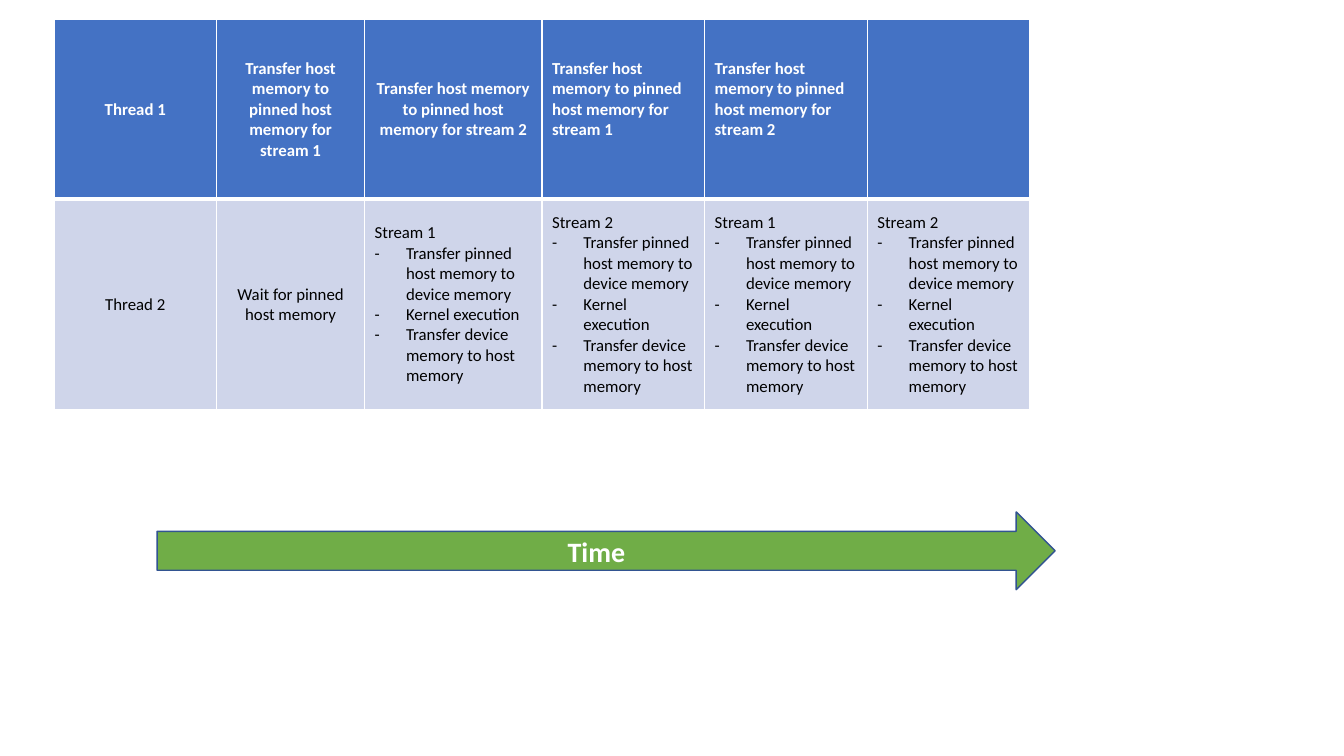
"""Build a slide showing two threads feeding two streams along a time arrow."""
from lxml import etree
from pptx import Presentation
from pptx import util as u
from pptx.dml.color import RGBColor
from pptx.enum import shapes, text
from pptx.oxml import ns

THEME = {
    "font": "Calibri", "cell_size": 12, "arrow_size": 20,
    "white": "FFFFFF", "black": "000000", "header": "4472C4",
    "body": "CFD5EA", "arrow": "70AD47", "outline": "325491",
}
CENTER, LEFT = text.PP_ALIGN.CENTER, text.PP_ALIGN.LEFT


def write(p, words, color, size, bold, align):
    p.alignment = align
    r = p.add_run()
    r.text = words
    r.font.color.rgb = RGBColor.from_string(THEME[color])
    values = {"name": THEME["font"], "size": u.Pt(THEME[size]), "bold": bold}
    for name, value in values.items():
        setattr(r.font, name, value)


def add_border(cell, side, points):
    tcPr = cell._tc.get_or_add_tcPr()
    ln = etree.SubElement(tcPr, ns.qn(f"a:ln{side}"), w=str(u.Pt(points)))
    fill = etree.SubElement(ln, ns.qn("a:solidFill"))
    etree.SubElement(fill, ns.qn("a:srgbClr"), val=THEME["white"])


prs = Presentation()
prs.slide_width, prs.slide_height = u.Cm(33.87), u.Cm(19.05)
s = prs.slides.add_slide(prs.slide_layouts[6])

pinning = "Transfer host memory to pinned host memory for stream {}"
steps = [
    "Transfer pinned host memory to device memory",
    "Kernel execution",
    "Transfer device memory to host memory",
]
streams = [1, 2, 1, 2]
rows = [
    [["Thread 1"], *[[pinning.format(n)] for n in streams], []],
    [["Thread 2"], ["Wait for pinned host memory"],
     *[[f"Stream {n}", *steps] for n in streams]],
]
widths = [4.1, 3.73, 4.47, 4.1, 4.1, 4.1]
heights = [4.52, 5.31]
styles = [
    {"fill": "header", "color": "white", "bold": True, "centered": 3, "bottom": 3},
    {"fill": "body", "color": "black", "bold": False, "centered": 2, "bottom": 1},
]

table = s.shapes.add_table(len(heights), len(widths), u.Cm(1.36), u.Cm(0.5),
                           u.Cm(sum(widths)), u.Cm(sum(heights))).table
for column, width in zip(table.columns, widths):
    column.width = u.Cm(width)

for i, (row, style) in enumerate(zip(rows, styles)):
    table.rows[i].height = u.Cm(heights[i])
    for j, lines in enumerate(row):
        cell = table.cell(i, j)
        cell.vertical_anchor = text.MSO_ANCHOR.MIDDLE
        top = styles[i - 1]["bottom"] if i else 1
        for side, points in zip("LRTB", (1, 1, top, style["bottom"])):
            add_border(cell, side, points)
        cell.fill.solid()
        cell.fill.fore_color.rgb = RGBColor.from_string(THEME[style["fill"]])
        align = CENTER if j < style["centered"] else LEFT
        if i == 0 and align == LEFT:
            cell.margin_bottom = u.Cm(0.64)
        tf = cell.text_frame
        for k, words in enumerate(lines):
            p = tf.add_paragraph() if k else tf.paragraphs[0]
            write(p, words, style["color"], "cell_size", style["bold"], align)
            if k:
                pPr = p._p.get_or_add_pPr()
                pPr.set("marL", str(u.Cm(0.79)))
                pPr.set("indent", str(-u.Cm(0.79)))
                etree.SubElement(pPr, ns.qn("a:buFont"), typeface=THEME["font"])
                etree.SubElement(pPr, ns.qn("a:buChar"), char="-")

sp = s.shapes.add_shape(shapes.MSO_SHAPE.RIGHT_ARROW,
                        u.Cm(3.96), u.Cm(12.9), u.Cm(22.63), u.Cm(1.96))
sp.shadow.inherit = False
sp.fill.solid()
sp.fill.fore_color.rgb = RGBColor.from_string(THEME["arrow"])
sp.line.color.rgb = RGBColor.from_string(THEME["outline"])
sp.line.width = u.Pt(1)
tf = sp.text_frame
tf.vertical_anchor = text.MSO_ANCHOR.MIDDLE
write(tf.paragraphs[0], "Time", "white", "arrow_size", True, CENTER)

prs.save("out.pptx")
